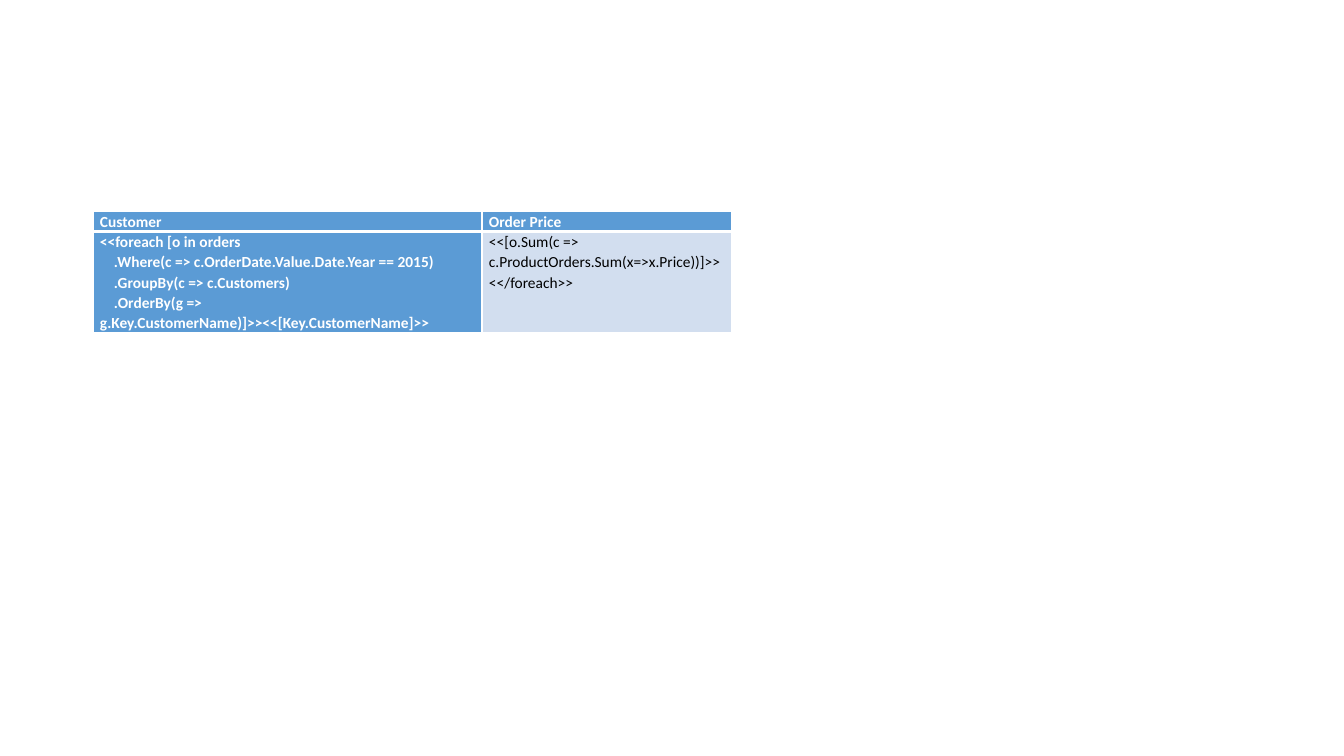
from pptx import Presentation
from pptx.dml.color import RGBColor as Rgb
from pptx.oxml import parse_xml
from pptx.oxml.ns import nsdecls
from pptx.util import Pt

BLUE, PALE, WHITE, BLACK = "5B9BD5", "D2DEEF", "FFFFFF", "000000"
HEADS = [["Customer"], ["Order Price"]]
CODE = [
    [
        "<<foreach [o in orders",
        "    .Where(c => c.OrderDate.Value.Date.Year == 2015)",
        "    .GroupBy(c => c.Customers)",
        "    .OrderBy(g => g.Key.CustomerName)]>><<[Key.CustomerName]>>",
    ],
    ["<<[o.Sum(c => c.ProductOrders.Sum(x=>x.Price))]>><</foreach>>"],
]
ROWS = [HEADS, CODE]
LEFT, TOP = 93, 211
WIDTHS = [389, 250]
HEIGHTS = [20, 101]


def px(n):
    return round(n * 914400 / 100.8)


def color(code):
    return Rgb.from_string(code)


def write(cell, lines, ink, bold):
    frame = cell.text_frame
    frame.word_wrap = True
    for i, line in enumerate(lines):
        par = frame.paragraphs[0] if i == 0 else frame.add_paragraph()
        par.line_spacing = 1.07
        run = par.add_run()
        run.text = line
        font = run.font
        font.name, font.size, font.bold = "Calibri", Pt(11), bold
        font.color.rgb = color(ink)


def edge(cell, **sides):
    props = cell._tc.get_or_add_tcPr()
    for side, width in sides.items():
        props.append(parse_xml(
            f'<a:ln{side} {nsdecls("a")} w="{Pt(width)}"><a:solidFill>'
            f'<a:srgbClr val="{WHITE}"/></a:solidFill></a:ln{side}>'))


deck = Presentation()
deck.slide_width, deck.slide_height = px(1344), px(756)
slide = deck.slides.add_slide(deck.slide_layouts[6])
grid = slide.shapes.add_table(
    len(ROWS), len(WIDTHS), px(LEFT), px(TOP), px(sum(WIDTHS)), px(sum(HEIGHTS))).table
for col, width in zip(grid.columns, WIDTHS):
    col.width = px(width)
for row, height in zip(grid.rows, HEIGHTS):
    row.height = px(height)

for r, row in enumerate(ROWS):
    for c, lines in enumerate(row):
        cell = grid.cell(r, c)
        strong = r == 0 or c == 0
        cell.margin_left = cell.margin_right = px(7)
        cell.margin_top = cell.margin_bottom = 0
        edge(cell, L=1, R=1, T=3 if r else 1, B=1 if r else 3)
        cell.fill.solid()
        cell.fill.fore_color.rgb = color(BLUE if strong else PALE)
        write(cell, lines, ink=WHITE if strong else BLACK, bold=strong)

deck.save("out.pptx")
